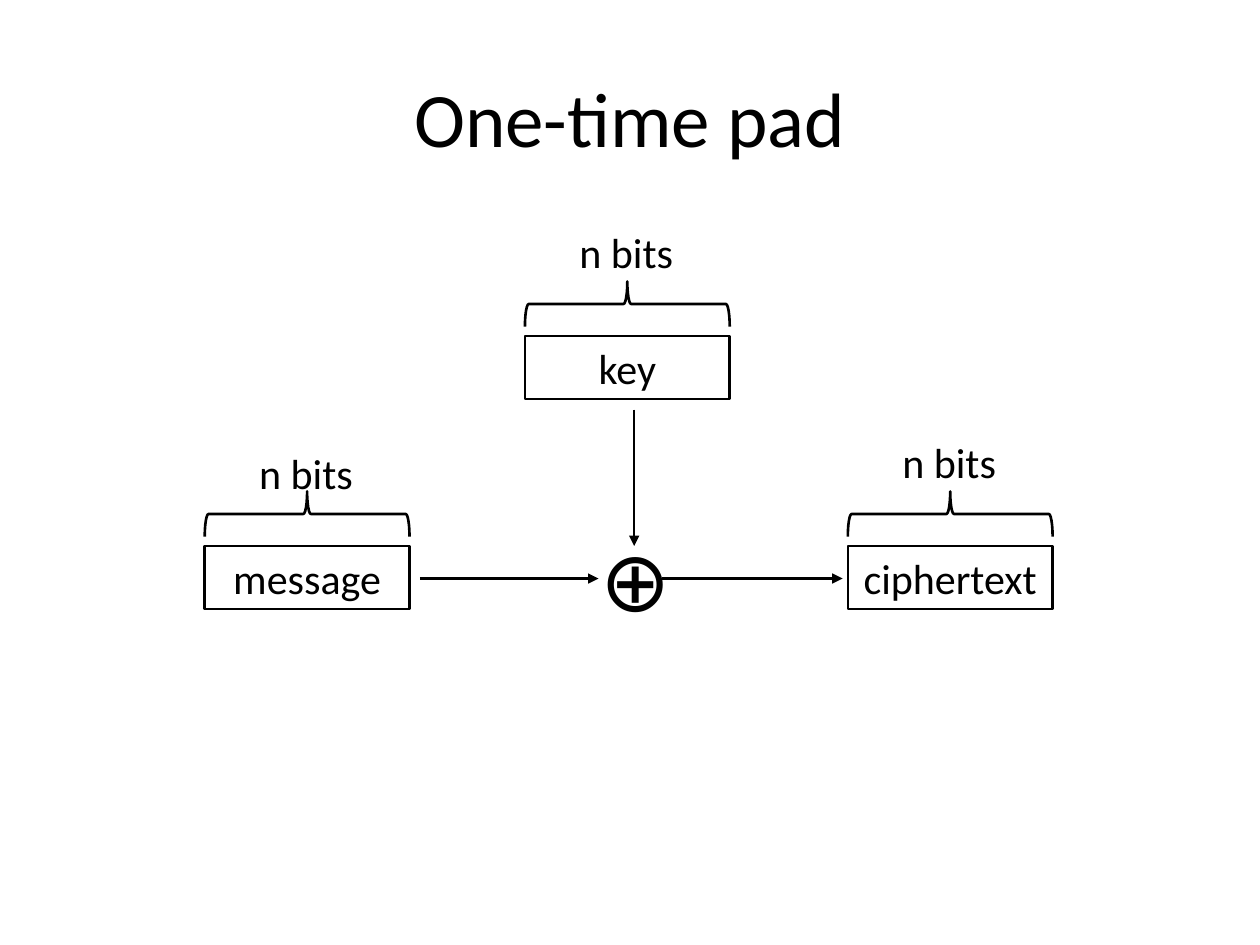
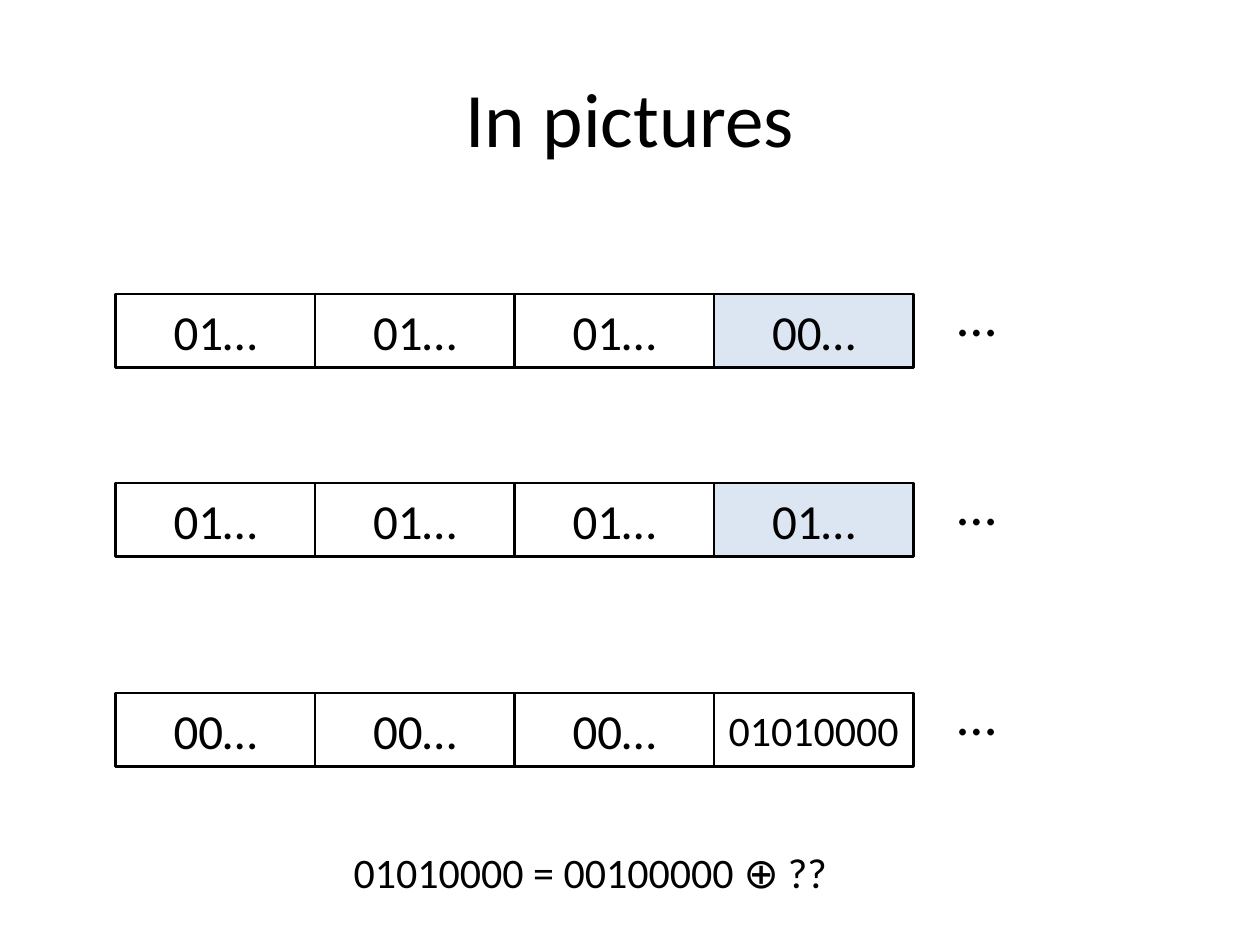
"""Build two slides on the one-time pad."""
from lxml.etree import SubElement
from pptx import Presentation
from pptx.dml.color import RGBColor as Rgb
from pptx.enum.shapes import MSO_CONNECTOR as Link, MSO_SHAPE as Form
from pptx.enum.text import MSO_ANCHOR as Anchor, PP_ALIGN as Align
from pptx.oxml.ns import qn
from pptx.util import Inches, Pt

HUE = {"ink": "000000", "paper": "FFFFFF", "mark": "DCE6F2"}
FONT = "Calibri"
COLS, ROWS = 120, 90
WIDE, HIGH = Inches(10), Inches(7.5)


def place(*vals):
    """Turn alternating grid columns and rows into slide lengths."""
    units = (WIDE / COLS, HIGH / ROWS)
    return [round(val * units[i % 2]) for i, val in enumerate(vals)]


def write(shape, text, size, align=Align.CENTER, anchor=Anchor.MIDDLE, wrap=True):
    """Put one styled line of text in a shape."""
    frame = shape.text_frame
    frame.text = text
    frame.word_wrap = wrap
    frame.vertical_anchor = anchor
    para = frame.paragraphs[0]
    para.alignment = align
    for run in para.runs:
        run.font.size = Pt(size)
        run.font.name = FONT
        run.font.color.rgb = Rgb.from_string(HUE["ink"])


def label(slide, box, text, size):
    """Add a free line of text that does not wrap."""
    write(slide.shapes.add_textbox(*place(*box)), text, size,
          Align.LEFT, Anchor.TOP, False)


def outline(slide, form, box, fill=None):
    """Add a black-edged shape, filled or clear."""
    shape = slide.shapes.add_shape(form, *place(*box))
    shape.shadow.inherit = False
    shape.line.color.rgb = Rgb.from_string(HUE["ink"])
    shape.line.width = Pt(1.5)
    if fill:
        shape.fill.solid()
        shape.fill.fore_color.rgb = Rgb.from_string(HUE[fill])
    else:
        shape.fill.background()
    return shape


def arrow(slide, *ends):
    """Draw an arrow from the first point to the second."""
    line = slide.shapes.add_connector(Link.STRAIGHT, *place(*ends))
    line.line.color.rgb = Rgb.from_string(HUE["ink"])
    line.line.width = Pt(1.5)
    SubElement(line.line._get_or_add_ln(), qn("a:tailEnd"), type="triangle")
    SubElement(line._element.spPr, qn("a:effectLst"))


def block(slide, box, text, lift):
    """Draw a named box under a brace that tells its length."""
    left, top, wide, high = box
    write(outline(slide, Form.RECTANGLE, box, "paper"), text, 24)
    deep = 4.3
    mid, level = left + wide / 2, top - 3.05
    brace = outline(slide, Form.RIGHT_BRACE,
                    (mid - deep / 2, level - wide / 2, deep, wide))
    brace.rotation = 270
    label(slide, (left + 4, top - lift, 11.4, high), "n bits", 24)


def strip(slide, box, texts, fill, size=28):
    """Draw a row of equal cells, the last one filled, and trailing dots."""
    left, top, wide, high = box
    step = wide / len(texts)
    last = len(texts) - 1
    for i, text in enumerate(texts):
        cell = outline(slide, Form.RECTANGLE, (left + i * step, top, step, high),
                       fill if i == last else None)
        write(cell, text, size if i == last else 28)
    label(slide, (left + wide + 3, top - 1.9, 6.1, 7.7), "…", 32)


def start(deck, title):
    """Add a blank slide with the shared title."""
    slide = deck.slides.add_slide(deck.slide_layouts[6])
    write(slide.shapes.add_textbox(*place(6, 3.6, 108, 15)), title, 44)
    return slide


def cipher(deck):
    """Show message and key joined into the ciphertext."""
    slide = start(deck, "One-time pad")
    for left, top, text, lift in ((50, 32, "key", 11), (19.5, 52, "message", 10),
                                  (80.75, 52, "ciphertext", 11)):
        block(slide, (left, top, 19.5, 6), text, lift)
    arrow(slide, 40, 55.1, 57, 55.1)
    arrow(slide, 60.4, 39, 60.4, 52)
    arrow(slide, 63, 55.1, 80.25, 55.1)
    label(slide, (56, 49.6, 8.6, 10.9), "⊕", 48)


def strips(deck):
    """Show three rows of bytes and the sum below them."""
    slide = start(deck, "In pictures")
    for top, head, tail, fill, size in ((28, "01…", "00…", "mark", 28),
                                        (46, "01…", "01…", "mark", 28),
                                        (66, "00…", "01010000", "paper", 24)):
        strip(slide, (11, top, 76, 7), [head] * 3 + [tail], fill, size)
    label(slide, (32.5, 80, 48.5, 6), "01010000 = 00100000 ⊕ ?? ", 24)


deck = Presentation()
deck.slide_width, deck.slide_height = WIDE, HIGH
cipher(deck)
strips(deck)
deck.save("out.pptx")
